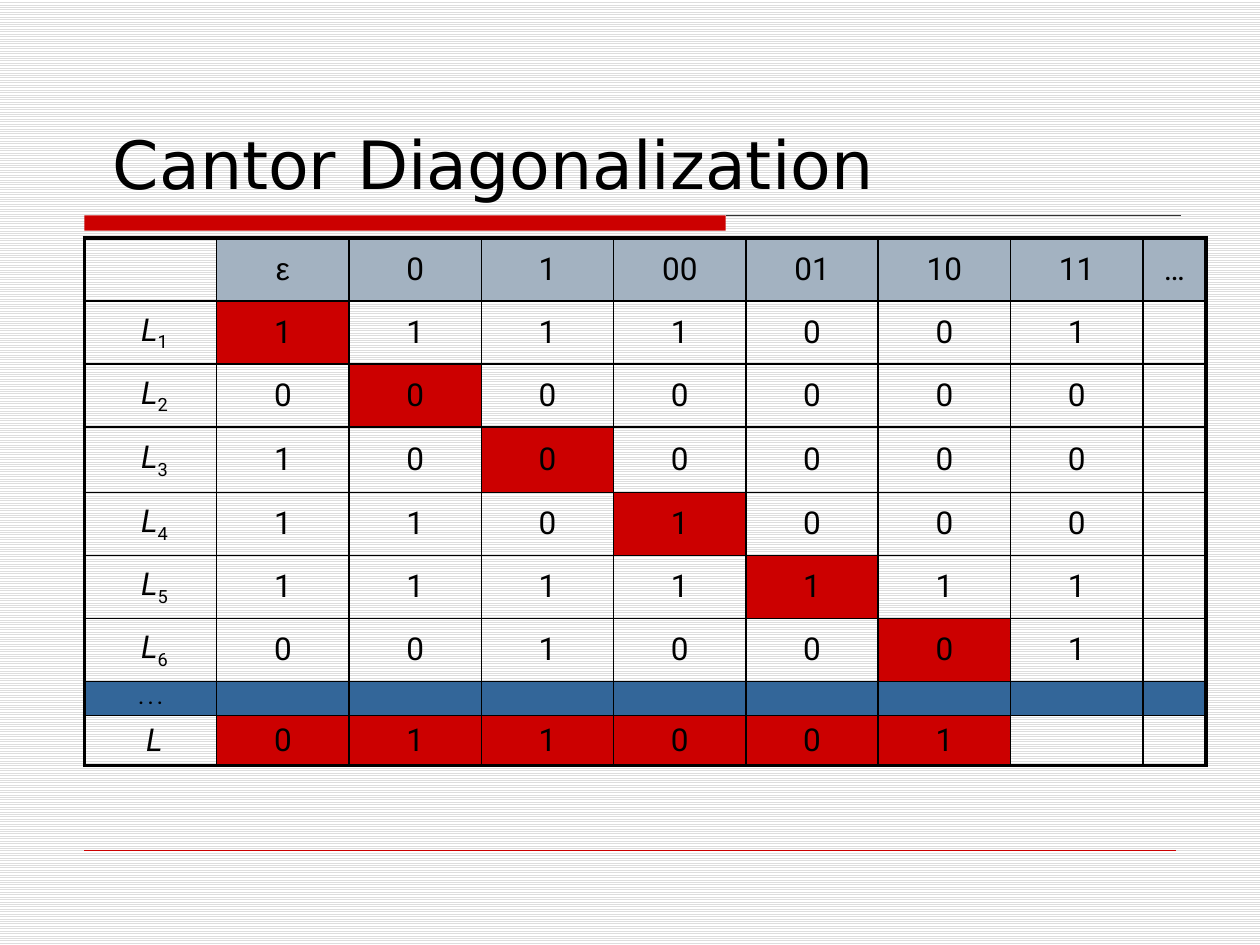
"""Build the Cantor diagonalization slide."""
from dataclasses import dataclass

from lxml.etree import SubElement
from pptx import Presentation
from pptx.dml.color import RGBColor
from pptx.enum.dml import MSO_PATTERN
from pptx.enum.shapes import MSO_CONNECTOR, MSO_SHAPE
from pptx.enum.text import MSO_ANCHOR, PP_ALIGN
from pptx.oxml.ns import qn
from pptx.util import Inches, Pt

BLACK, RED, BLUE, GREY = "000000", "CC0000", "336699", "A3B2C1"
THIN, THICK = 1, 2.25
COLUMN_WIDTHS = [1.05] * 8 + [0.5]
ROW_HEIGHTS = [0.5, 0.5, 0.5, 0.52, 0.5, 0.5, 0.5, 0.26, 0.4]
HEADINGS = ["ε", "0", "1", "00", "01", "10", "11", "…"]
MEMBERSHIP = ["1111001", "0000000", "1000000", "1101000", "1111111", "001001"]
MEMBERSHIP[-1] = "0010001"
COMPLEMENT = "011001"


@dataclass
class Rule:
    """A straight line on the slide."""
    left: float
    right: float
    top: float
    color: str
    width: float


RULES = [Rule(5.76, 9.37, 1.71, "333333", 0.75), Rule(0.67, 9.33, 6.75, RED, 0.25)]


def rgb(color: str) -> RGBColor:
    return RGBColor.from_string(color)


def add_span(para, text: str, *, size: float = 18, font: str = "Roboto",
             bold: bool = False, italic: bool = False, baseline: int = 0) -> None:
    span = para.add_run()
    span.text = text
    span.font.size, span.font.name = Pt(size), font
    span.font.bold, span.font.italic = bold, italic
    span.font.color.rgb = rgb(BLACK)
    if baseline:
        span.font._element.set("baseline", str(baseline))


def draw_rule(page, rule: Rule) -> None:
    line = page.shapes.add_connector(MSO_CONNECTOR.STRAIGHT, Inches(rule.left), Inches(rule.top),
                                     Inches(rule.right), Inches(rule.top))
    line.line.color.rgb = rgb(rule.color)
    line.line.width = Pt(rule.width)
    SubElement(line._element.spPr, qn("a:effectLst"))


def set_borders(cell, widths: dict[str, float]) -> None:
    properties = cell._tc.get_or_add_tcPr()
    for position, (side, width) in enumerate(widths.items()):
        border = properties.makeelement(qn(f"a:ln{side}"), {"w": str(Pt(width))})
        fill = SubElement(border, qn("a:solidFill"))
        SubElement(fill, qn("a:srgbClr"), val=BLACK)
        properties.insert(position, border)


def cell_fill(row: int, column: int) -> str | None:
    if row == 0 and column > 0:
        return GREY
    if row == 7:
        return BLUE
    on_diagonal = row == column and 1 <= row <= 6
    in_complement = row == 8 and 1 <= column <= len(COMPLEMENT)
    return RED if on_diagonal or in_complement else None


def write_cell(para, row: int, column: int, text: str) -> None:
    para.alignment = PP_ALIGN.CENTER
    if not text:
        SubElement(para._p, qn("a:endParaRPr"), sz="1000")
    elif row == 7:
        add_span(para, text, size=10, bold=True)
    elif column == 0:
        add_span(para, " L", italic=True)
        if row < 7:
            add_span(para, str(row), baseline=-25000)
    else:
        add_span(para, text, font="Arial" if text == "ε" else "Roboto")


def draw_table(page) -> None:
    rows = [["", *HEADINGS], *(["L", *bits] for bits in MEMBERSHIP), [". . ."], ["L", *COMPLEMENT]]
    last_row, last_column = len(ROW_HEIGHTS) - 1, len(COLUMN_WIDTHS) - 1
    table = page.shapes.add_table(last_row + 1, last_column + 1, Inches(0.67), Inches(1.89),
                                  Inches(sum(COLUMN_WIDTHS)), Inches(sum(ROW_HEIGHTS))).table
    table.first_row = table.horz_banding = False
    for column, width in zip(table.columns, COLUMN_WIDTHS):
        column.width = Inches(width)
    for r, height in enumerate(ROW_HEIGHTS):
        table.rows[r].height = Inches(height)
        for c in range(last_column + 1):
            cell = table.cell(r, c)
            cell.vertical_anchor = MSO_ANCHOR.MIDDLE
            write_cell(cell.text_frame.paragraphs[0], r, c, rows[r][c] if c < len(rows[r]) else "")
            color = cell_fill(r, c)
            if color:
                cell.fill.solid()
                cell.fill.fore_color.rgb = rgb(color)
            else:
                cell.fill.background()
            set_borders(cell, {"L": THICK if c == 0 else THIN,
                               "R": THICK if c == last_column else THIN,
                               "T": THICK if r == 0 else THIN,
                               "B": THICK if r == last_row else THIN})


def draw_title(page) -> None:
    box = page.shapes.add_textbox(Inches(0.63), Inches(0.33), Inches(8.75), Inches(1.33))
    frame = box.text_frame
    frame.word_wrap = True
    frame.vertical_anchor = MSO_ANCHOR.BOTTOM
    add_span(frame.paragraphs[0], " Cantor Diagonalization", size=38, font="DejaVu Sans")


def draw_bar(page) -> None:
    bar = page.shapes.add_shape(MSO_SHAPE.RECTANGLE, Inches(0.67), Inches(1.71),
                                Inches(5.09), Inches(0.12))
    bar.shadow.inherit = False
    bar.fill.solid()
    bar.fill.fore_color.rgb = rgb(RED)
    bar.line.fill.background()


def main() -> None:
    deck = Presentation()
    deck.slide_width, deck.slide_height = Inches(10), Inches(7.5)
    page = deck.slides.add_slide(deck.slide_layouts[6])
    backdrop = page.background.fill
    backdrop.patterned()
    backdrop.pattern = MSO_PATTERN.LIGHT_HORIZONTAL
    backdrop.fore_color.rgb, backdrop.back_color.rgb = rgb("DDDDDD"), rgb("FFFFFF")
    draw_bar(page)
    for rule in RULES:
        draw_rule(page, rule)
    draw_title(page)
    draw_table(page)
    deck.save("out.pptx")


main()
